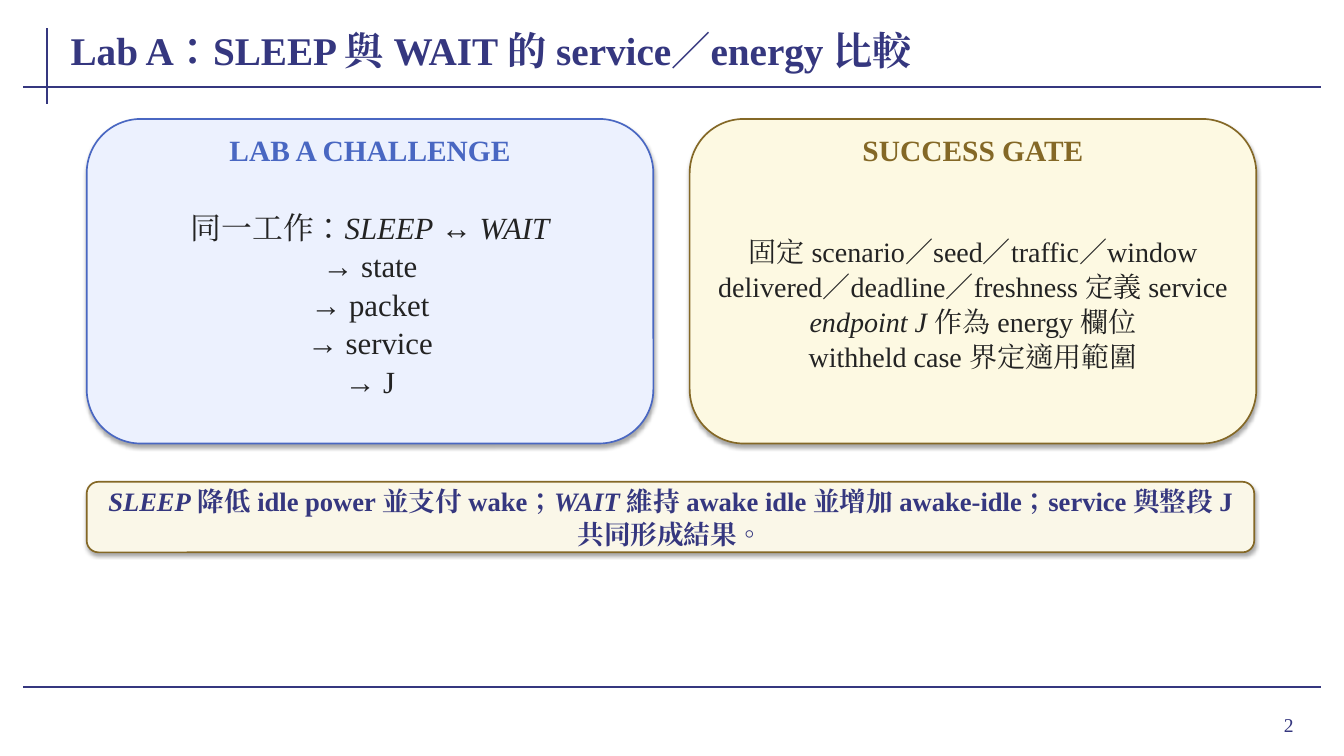
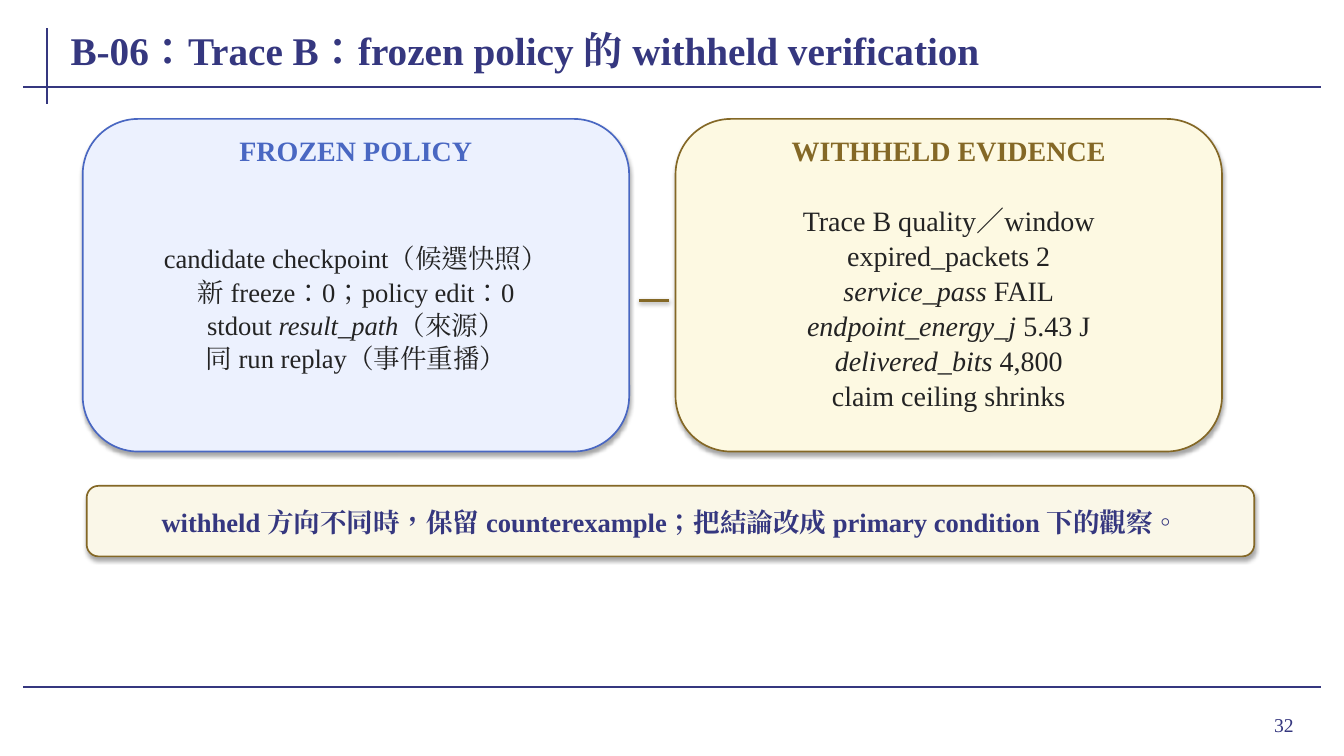
import dataclasses

import lxml.etree
import pptx
import pptx.dml.color
import pptx.enum.lang
import pptx.enum.shapes
import pptx.enum.text
import pptx.oxml.ns
import pptx.util

Inches = pptx.util.Inches
Pt = pptx.util.Pt
qn = pptx.oxml.ns.qn
PP_ALIGN = pptx.enum.text.PP_ALIGN


def color(value):
    return pptx.dml.color.RGBColor.from_string(value)


@dataclasses.dataclass(frozen=True)
class Theme:
    font: str = "Times New Roman"
    navy: str = "35377F"
    blue: str = "4967C2"
    blue_fill: str = "ECF1FE"
    gold: str = "846826"
    gold_fill: str = "FDF9E2"
    takeaway_fill: str = "FAF7E8"
    ink: str = "232323"
    title_size: int = 28
    takeaway_size: int = 19
    number_size: int = 14
    rule_width: float = 1.5
    border_width: float = 1.2
    link_width: float = 1.8
    line_spacing: float = 1.04


THEME = Theme()


@dataclasses.dataclass(frozen=True)
class Panel:
    heading: str
    heading_size: int
    lines: tuple
    body_size: int


def fill_shadow(effects, distance, opacity):
    shadow = lxml.etree.SubElement(
        effects, qn("a:outerShdw"), blurRad=str(Pt(3.1)), dist=str(Pt(distance)),
        dir="5400000", algn="ctr", rotWithShape="0")
    black = lxml.etree.SubElement(shadow, qn("a:srgbClr"), val="000000")
    lxml.etree.SubElement(black, qn("a:alpha"), val=str(opacity * 1000))


def add_line(slide, start, end, line_color, width):
    connector = slide.shapes.add_connector(
        pptx.enum.shapes.MSO_CONNECTOR.STRAIGHT,
        *(Inches(value) for value in start + end))
    connector.line.color.rgb = color(line_color)
    connector.line.width = Pt(width)
    return lxml.etree.SubElement(connector._element.spPr, qn("a:effectLst"))


def add_card(slide, box, fill, border):
    shape = slide.shapes.add_shape(
        pptx.enum.shapes.MSO_SHAPE.ROUNDED_RECTANGLE, *(Inches(value) for value in box))
    shape.fill.solid()
    shape.fill.fore_color.rgb = color(fill)
    shape.line.color.rgb = color(border)
    shape.line.width = Pt(THEME.border_width)
    shape.shadow.inherit = False
    fill_shadow(shape._element.spPr.find(qn("a:effectLst")), 1.8, 35)


def add_runs(paragraph, marked_text):
    for index, part in enumerate(marked_text.split("*")):
        if part:
            run = paragraph.add_run()
            run.text = part
            run.font.language_id = pptx.enum.lang.MSO_LANGUAGE_ID.TRADITIONAL_CHINESE
            if index % 2:
                run.font.italic = True


def add_text(slide, box, lines, size, text_color, bold=False, align=PP_ALIGN.CENTER,
             margins=(0.02, 0), grow=True, spacing=None):
    frame = slide.shapes.add_textbox(*(Inches(value) for value in box)).text_frame
    frame.word_wrap = True
    frame.vertical_anchor = pptx.enum.text.MSO_ANCHOR.MIDDLE
    if grow:
        frame.auto_size = pptx.enum.text.MSO_AUTO_SIZE.SHAPE_TO_FIT_TEXT
    frame.margin_left = frame.margin_right = Inches(margins[0])
    frame.margin_top = frame.margin_bottom = Inches(margins[1])
    for index, line in enumerate(lines):
        paragraph = frame.add_paragraph() if index else frame.paragraphs[0]
        paragraph.alignment = align
        if spacing:
            paragraph.line_spacing = spacing
        font = paragraph.font
        font.name = THEME.font
        font.size = Pt(size)
        font.bold = bold
        font.color.rgb = color(text_color)
        lxml.etree.SubElement(font._element, qn("a:ea"), typeface=THEME.font)
        add_runs(paragraph, line)


def add_panel(slide, panel, box, fill, accent):
    left, top, width, height = box
    add_card(slide, box, fill, accent)
    add_text(slide, (left + 0.18, top + 0.16, width - 0.36, 0.3), [panel.heading],
             panel.heading_size, accent, bold=True, margins=(0.01, 0))
    add_text(slide, (left + 0.2, top + 0.58, width - 0.4, height - 0.72), panel.lines,
             panel.body_size, THEME.ink, margins=(0.08, 0.04), spacing=THEME.line_spacing)


def add_panel_pair(slide, panels, left, width, height, gap):
    styles = ((THEME.blue_fill, THEME.blue), (THEME.gold_fill, THEME.gold))
    for index, (panel, (fill, accent)) in enumerate(zip(panels, styles)):
        box = (left + index * (width + gap), 1.18, width, height)
        add_panel(slide, panel, box, fill, accent)


def add_takeaway(slide, top, text):
    add_card(slide, (0.86, top, 11.58, 0.7), THEME.takeaway_fill, THEME.gold)
    add_text(slide, (1.04, top + 0.07, 11.22, 0.56), [text], THEME.takeaway_size,
             THEME.navy, bold=True, spacing=THEME.line_spacing)


def add_framed_slide(presentation, title, number):
    slide = presentation.slides.add_slide(presentation.slide_layouts[6])
    for start, end in (((0.47, 0.28), (0.47, 1.03)),
                       ((0.23, 0.86), (13.1, 0.86)),
                       ((0.23, 6.82), (13.1, 6.82))):
        add_line(slide, start, end, THEME.navy, THEME.rule_width)
    add_text(slide, (11.96, 6.93, 0.97, 0.52), [str(number)], THEME.number_size,
             THEME.navy, align=PP_ALIGN.RIGHT, margins=(0.1, 0.05), grow=False)
    add_text(slide, (0.68, 0.18, 11.95, 0.62), [title], THEME.title_size,
             THEME.navy, bold=True, align=PP_ALIGN.LEFT, grow=False)
    return slide


def build_comparison(presentation):
    slide = add_framed_slide(
        presentation, "Lab A：SLEEP 與 WAIT 的 service／energy 比較", 2)
    panels = (
        Panel("LAB A CHALLENGE", 21,
              ("同一工作：*SLEEP* ↔ *WAIT*", "→ state", "→ packet", "→ service", "→ J"), 22),
        Panel("SUCCESS GATE", 21,
              ("固定 scenario／seed／traffic／window",
               "delivered／deadline／freshness 定義 service",
               "*endpoint J* 作為 energy 欄位",
               "withheld case 界定適用範圍"), 20),
    )
    add_panel_pair(slide, panels, left=0.86, width=5.62, height=3.22, gap=0.36)
    add_takeaway(slide, 4.78,
                 "*SLEEP* 降低 idle power 並支付 wake；*WAIT* 維持 awake idle "
                 "並增加 awake-idle；service 與整段 J 共同形成結果。")


def build_verification(presentation):
    slide = add_framed_slide(
        presentation, "B-06：Trace B：frozen policy 的 withheld verification", 32)
    panels = (
        Panel("FROZEN POLICY", 20,
              ("candidate checkpoint（候選快照）",
               "新 freeze：0；policy edit：0",
               "stdout *result_path*（來源）",
               "同 run replay（事件重播）"), 19),
        Panel("WITHHELD EVIDENCE", 20,
              ("Trace B quality／window",
               "expired_packets 2",
               "*service_pass* FAIL",
               "*endpoint_energy_j* 5.43 J",
               "*delivered_bits* 4,800",
               "claim ceiling shrinks"), 20),
    )
    add_panel_pair(slide, panels, left=0.82, width=5.42, height=3.3, gap=0.46)
    effects = add_line(slide, (6.34, 2.98), (6.64, 2.98), THEME.gold, THEME.link_width)
    fill_shadow(effects, 1.6, 38)
    add_takeaway(slide, 4.82,
                 "withheld 方向不同時，保留 counterexample；"
                 "把結論改成 primary condition 下的觀察。")


def main():
    presentation = pptx.Presentation()
    presentation.slide_width = Inches(13.33)
    presentation.slide_height = Inches(7.5)
    build_comparison(presentation)
    build_verification(presentation)
    presentation.save("out.pptx")


if __name__ == "__main__":
    main()
